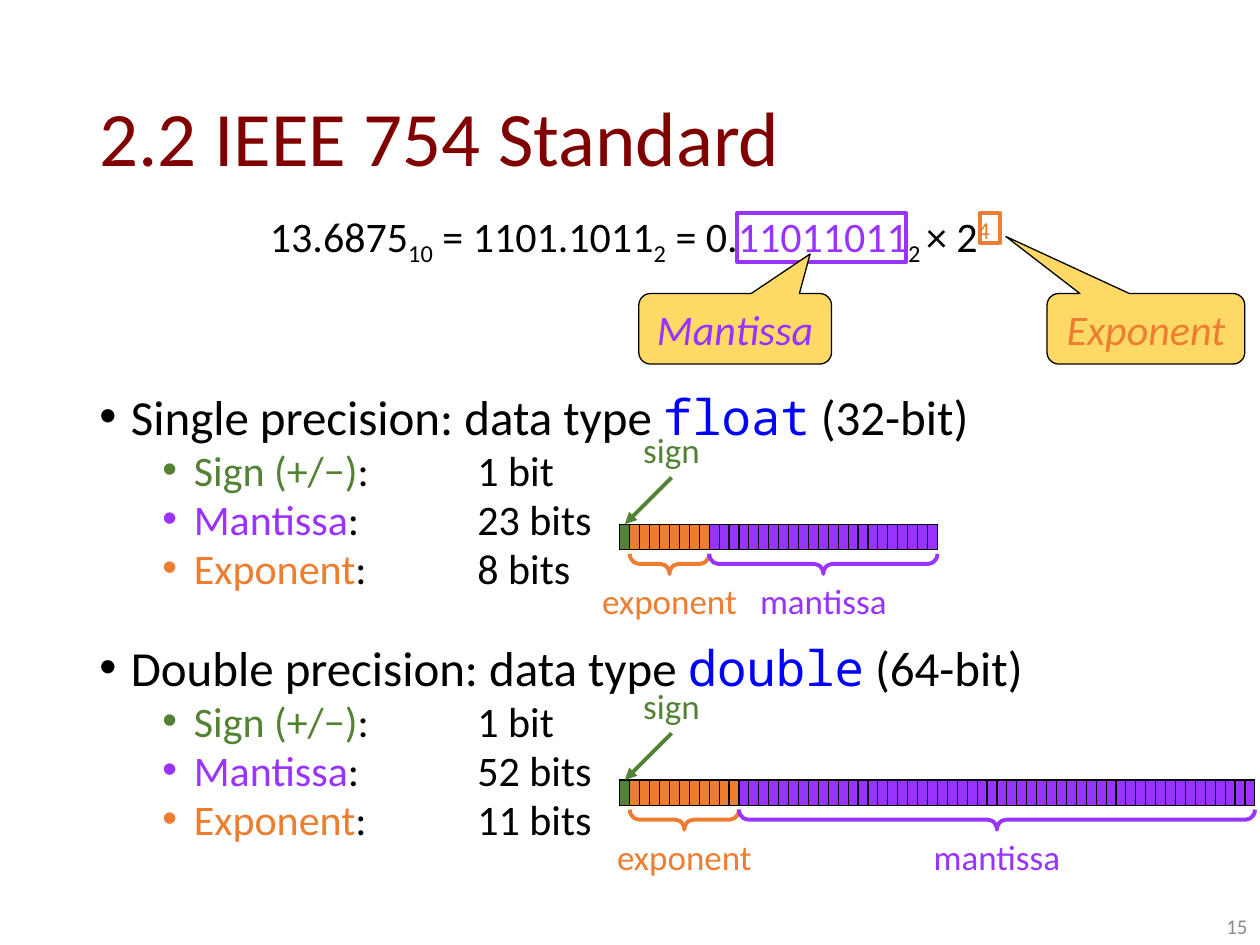
from lxml import etree
from pptx import Presentation
from pptx.dml.color import RGBColor
from pptx.enum.shapes import MSO_CONNECTOR, MSO_SHAPE
from pptx.enum.text import MSO_ANCHOR, PP_ALIGN
from pptx.oxml.ns import qn
from pptx.util import Inches, Pt

SANS, MONO = "Calibri", "Noto Sans Mono"
BLACK, MAROON, BLUE, GRAY = "000000", "800000", "0000FF", "8C8C8C"
SIGN, EXPONENT, MANTISSA, CALLOUT = "548235", "ED7D31", "9933FF", "FFD966"

MARGIN, CONTENT_WIDTH = 0.69, 8.62
BITS_LEFT, BIT, BITS_HEIGHT = 4.92, 5.04 / 64, 0.2


def color(hex_string):
    return RGBColor.from_string(hex_string)


def add_xml(parent, tag, **attributes):
    return etree.SubElement(parent, qn(tag), attributes)


def add_run(paragraph, text, size=24, fill=BLACK, font=SANS, italic=False, baseline=0):
    run = paragraph.add_run()
    run.text = text
    run.font.size = Pt(size)
    run.font.name = font
    run.font.italic = italic
    run.font.color.rgb = color(fill)
    if baseline:
        run.font._element.set("baseline", str(baseline * 1000))


def add_text_box(slide, left, top, width, height, align=PP_ALIGN.LEFT, wrap=False):
    """Add a text box and return its frame."""
    frame = slide.shapes.add_textbox(
        Inches(left), Inches(top), Inches(width), Inches(height)).text_frame
    frame.word_wrap = wrap
    frame.paragraphs[0].alignment = align
    return frame


def add_label(slide, text, fill, center, top, width):
    frame = add_text_box(slide, center - width / 2, top, width, 0.44, PP_ALIGN.CENTER)
    add_run(frame.paragraphs[0], text, size=20, fill=fill)


def add_outline(slide, kind, left, top, width, height, line, weight=2.25, fill=None):
    shape = slide.shapes.add_shape(
        kind, Inches(left), Inches(top), Inches(width), Inches(height))
    shape.shadow.inherit = False
    shape.line.color.rgb = color(line)
    shape.line.width = Pt(weight)
    if fill:
        shape.fill.solid()
        shape.fill.fore_color.rgb = color(fill)
    else:
        shape.fill.background()
    return shape


def add_callout(slide, text, fill, left, width, pointer):
    shape = add_outline(slide, MSO_SHAPE.ROUNDED_RECTANGULAR_CALLOUT,
                        left, 2.33, width, 0.56, BLACK, 0.75, CALLOUT)
    for index, value in enumerate((*pointer, 0.167)):
        shape.adjustments[index] = value
    frame = shape.text_frame
    frame.word_wrap = False
    frame.vertical_anchor = MSO_ANCHOR.MIDDLE
    frame.paragraphs[0].alignment = PP_ALIGN.CENTER
    add_run(frame.paragraphs[0], text, fill=fill, italic=True)


def add_brace(slide, start, count, top, line):
    """Put a brace under a span of bits and return its centre."""
    center, length, depth = BITS_LEFT + (start + count / 2) * BIT, count * BIT, 0.16
    middle = top + 0.315
    brace = add_outline(slide, MSO_SHAPE.LEFT_BRACE, center - depth / 2,
                        middle - length / 2, depth, length, line)
    brace.rotation = 270
    brace.adjustments[0] = 0.447
    return center


def add_arrow(slide, start, end, line):
    arrow = slide.shapes.add_connector(
        MSO_CONNECTOR.STRAIGHT, *(Inches(value) for value in (*start, *end)))
    arrow.line.color.rgb = color(line)
    arrow.line.width = Pt(2.25)
    add_xml(arrow.line._get_or_add_ln(), "a:tailEnd", type="triangle")
    add_xml(arrow._element.spPr, "a:effectLst")


def format_bit(cell, fill):
    cell.margin_left = cell.margin_right = cell.margin_top = cell.margin_bottom = 0
    add_xml(cell.text_frame.paragraphs[0]._p, "a:endParaRPr", sz="800")
    properties = cell._tc.get_or_add_tcPr()
    for side in ("a:lnL", "a:lnR", "a:lnT", "a:lnB"):
        border = add_xml(properties, side, w=str(Pt(0.75)))
        add_xml(add_xml(border, "a:solidFill"), "a:srgbClr", val=BLACK)
    cell.fill.solid()
    cell.fill.fore_color.rgb = color(fill)


def add_bit_layout(slide, top, exponent_bits, mantissa_bits):
    """Draw one floating-point format as a row of bits with labels."""
    fills = [SIGN] + [EXPONENT] * exponent_bits + [MANTISSA] * mantissa_bits
    table = slide.shapes.add_table(
        1, len(fills), Inches(BITS_LEFT), Inches(top),
        Inches(len(fills) * BIT), Inches(BITS_HEIGHT)).table
    table.first_row = table.horz_banding = False
    for index, fill in enumerate(fills):
        table.columns[index].width = Inches(BIT)
        format_bit(table.cell(0, index), fill)

    add_label(slide, "sign", SIGN, 5.33, top - 0.81, 0.66)
    add_arrow(slide, (5.33, top - 0.37), (4.96, top), SIGN)
    for text, fill, start, count, width in (
            ("exponent", EXPONENT, 1, exponent_bits, 1.28),
            ("mantissa", MANTISSA, 1 + exponent_bits, mantissa_bits, 1.22)):
        center = add_brace(slide, start, count, top, fill)
        add_label(slide, text, fill, center, top + 0.39, width)


def format_bullet(paragraph, indent, space_before, tab=None):
    paragraph.line_spacing = 0.8
    paragraph.space_before = Pt(space_before)
    properties = paragraph._p.get_or_add_pPr()
    properties.set("marL", str(Inches(indent)))
    properties.set("indent", str(Inches(-0.25)))
    add_xml(properties, "a:buFont", typeface="Arial")
    add_xml(properties, "a:buChar", char="•")
    if tab:
        add_xml(add_xml(properties, "a:tabLst"), "a:tab", pos=str(Inches(tab)), algn="l")


def add_precision(frame, paragraph, name, data_type, exponent_bits, mantissa_bits, gap):
    """Write one precision heading and its three fields."""
    format_bullet(paragraph, 0.25, gap)
    add_run(paragraph, f"{name} precision: data type ", size=28)
    add_run(paragraph, data_type, size=28, fill=BLUE, font=MONO)
    add_run(paragraph, f" ({1 + exponent_bits + mantissa_bits}-bit)", size=28)
    for field, fill, amount in (("Sign (+/−)", SIGN, "1 bit"),
                                ("Mantissa", MANTISSA, f"{mantissa_bits} bits"),
                                ("Exponent", EXPONENT, f"{exponent_bits} bits")):
        item = frame.add_paragraph()
        item.level = 1
        format_bullet(item, 0.75, 5, tab=3)
        add_run(item, field, fill=fill)
        add_run(item, f":\t{amount}")


def add_title(slide, text):
    title = slide.shapes.title
    title.left, title.top = Inches(MARGIN), Inches(0.4)
    title.width, title.height = Inches(CONTENT_WIDTH), Inches(1.45)
    title.text_frame.vertical_anchor = MSO_ANCHOR.MIDDLE
    paragraph = title.text_frame.paragraphs[0]
    paragraph.alignment = PP_ALIGN.LEFT
    paragraph.line_spacing = 0.9
    add_run(paragraph, text, size=44, fill=MAROON)


def add_formula(slide):
    paragraph = add_text_box(slide, 1.97, 1.62, 6.06, 0.5, PP_ALIGN.CENTER).paragraphs[0]
    for text, fill, baseline in (
            ("13.6875", BLACK, 0), ("10", BLACK, -25), (" = 1101.1011", BLACK, 0),
            ("2", BLACK, -25), (" = 0.", BLACK, 0), ("11011011", MANTISSA, 0),
            ("2 ", BLACK, -25), ("× 2", BLACK, 0), ("4", EXPONENT, 30)):
        add_run(paragraph, text, fill=fill, baseline=baseline)
    add_outline(slide, MSO_SHAPE.RECTANGLE, 5.85, 1.69, 1.34, 0.39, MANTISSA)
    add_outline(slide, MSO_SHAPE.RECTANGLE, 7.78, 1.69, 0.16, 0.24, EXPONENT)
    add_callout(slide, "Mantissa", MANTISSA, 5.07, 1.53, (0.389, -1.061))
    add_callout(slide, "Exponent", EXPONENT, 8.31, 1.57, (-0.708, -1.309))


def main():
    presentation = Presentation()
    presentation.slide_width, presentation.slide_height = Inches(10), Inches(7.5)
    slide = presentation.slides.add_slide(presentation.slide_layouts[5])
    add_title(slide, "2.2 IEEE 754 Standard")

    # Field lists, each beside its bit layout
    frame = add_text_box(slide, MARGIN, 3.11, CONTENT_WIDTH, 3.65, wrap=True)
    add_precision(frame, frame.paragraphs[0], "Single", "float", 8, 23, gap=0)
    add_precision(frame, frame.add_paragraph(), "Double", "double", 11, 52, gap=32.5)
    add_bit_layout(slide, 4.16, 8, 23)
    add_bit_layout(slide, 6.19, 11, 52)

    # Worked example
    add_formula(slide)

    # Slide number
    number = add_text_box(slide, 7.75, 7.1, 2.25, 0.4, PP_ALIGN.RIGHT, wrap=True)
    number.vertical_anchor = MSO_ANCHOR.BOTTOM
    add_run(number.paragraphs[0], "15", size=12, fill=GRAY)

    presentation.save("out.pptx")


if __name__ == "__main__":
    main()
